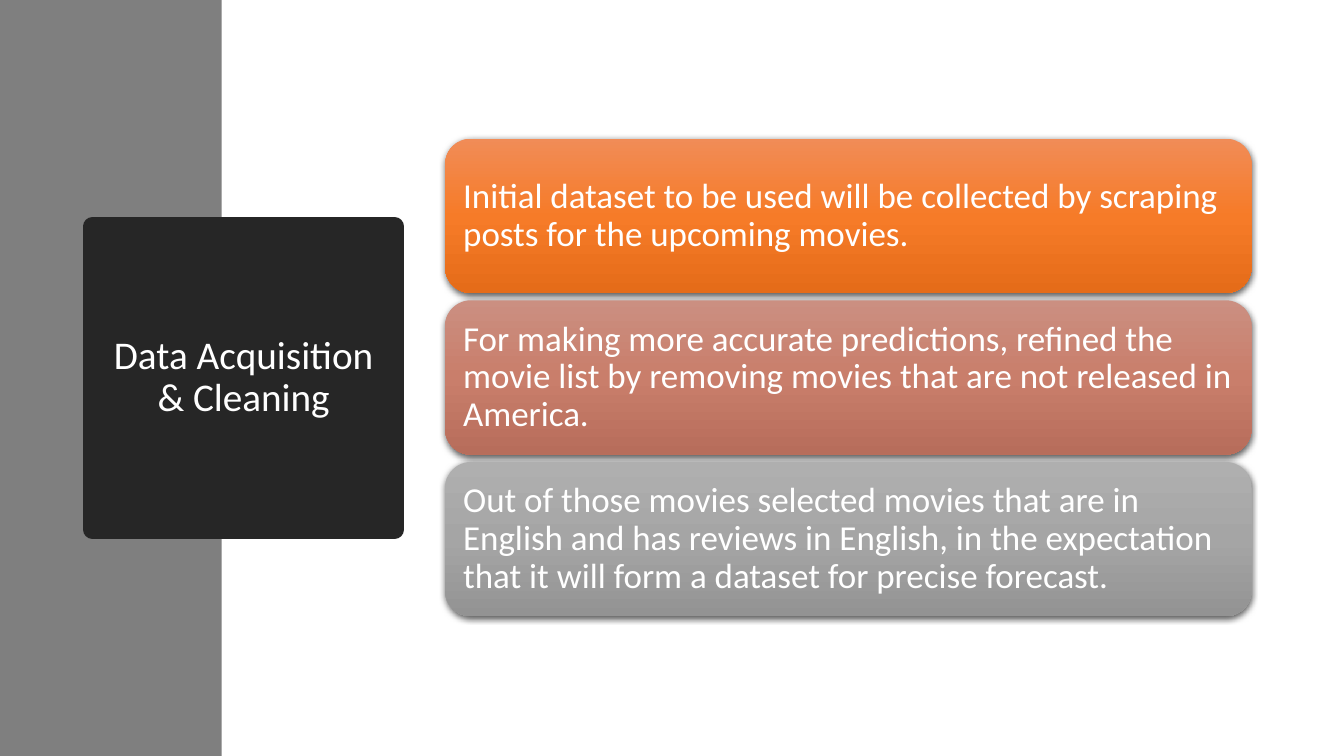
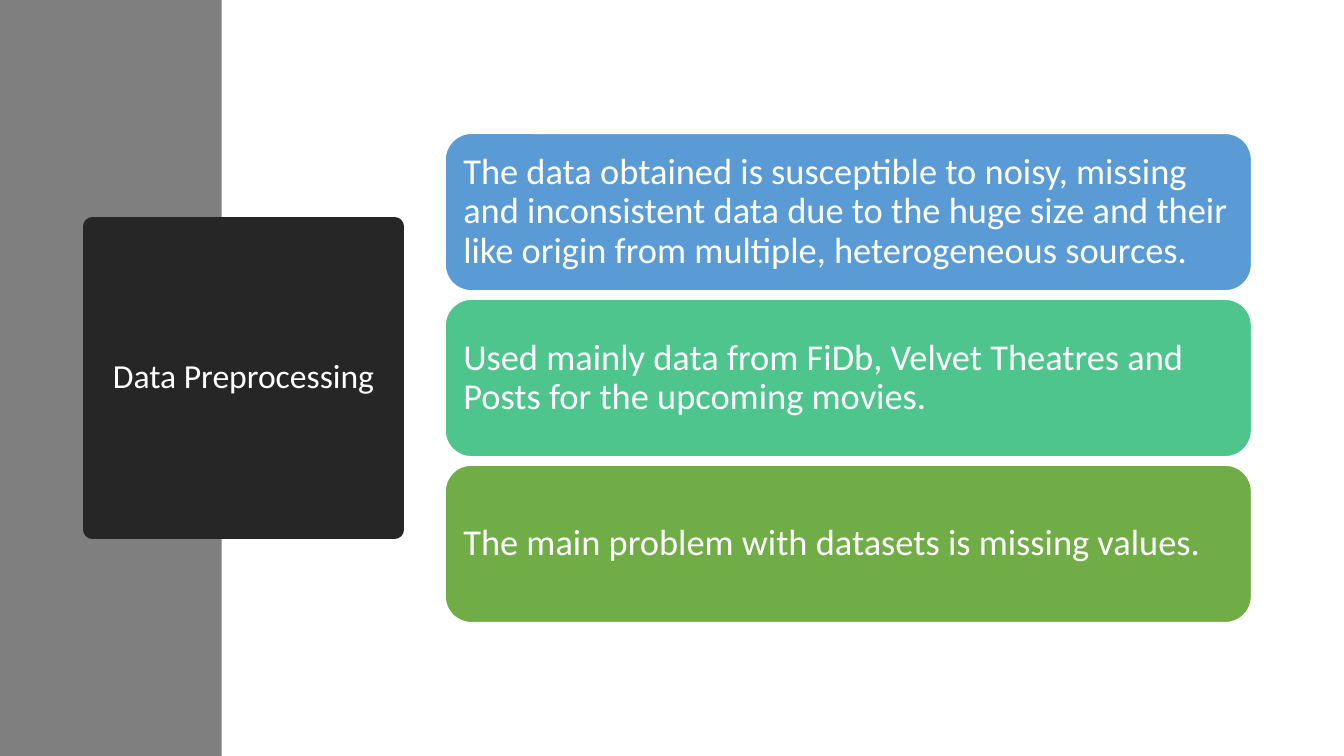
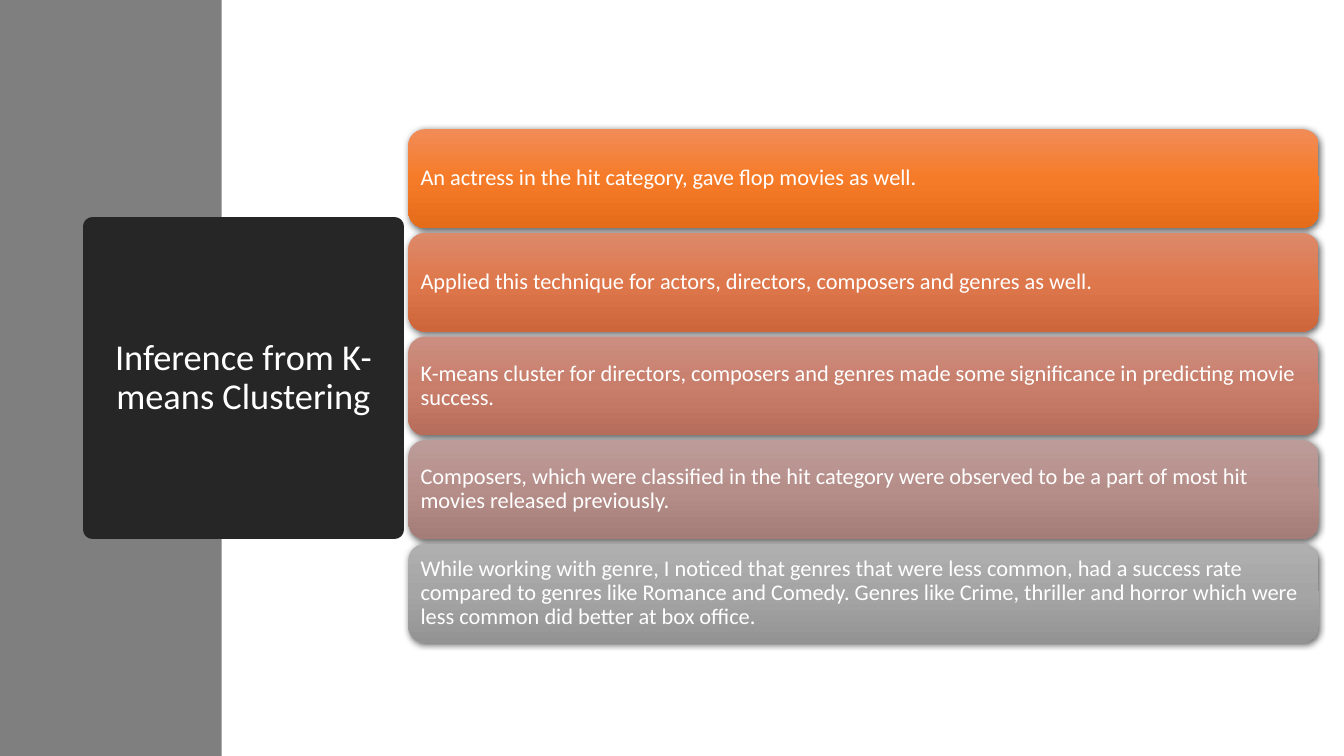
from lxml import etree
from pptx import Presentation
from pptx.dml.color import RGBColor
from pptx.enum.shapes import MSO_SHAPE
from pptx.enum.text import MSO_ANCHOR, MSO_AUTO_SIZE, PP_ALIGN
from pptx.oxml.ns import qn
from pptx.util import Emu, Pt

RECTANGLE = MSO_SHAPE.RECTANGLE
ROUNDED = MSO_SHAPE.ROUNDED_RECTANGLE
MIDDLE = MSO_ANCHOR.MIDDLE
NO_FIT = MSO_AUTO_SIZE.NONE
LEFT = PP_ALIGN.LEFT
CENTER = PP_ALIGN.CENTER

EMU_PER_PX = 9525
FONT = "Calibri"
TITLE_ONLY = 5
SLIDE_SIZE = (1280, 720)
BAND_BOX = (0, 0, 211, 720)
TITLE_BOX = (88, 216, 288, 288)

COLORS = {
    "white": "FFFFFF",
    "band": "7F7F7F",
    "title": "262626",
    "shadow": "000000",
    "blue": "5B9BD5",
    "mint": "4DC58D",
    "green": "70AD47",
}
GRADIENTS = {
    "orange": ("F18C57", "F67B28", "E56C19"),
    "copper": ("DD8A6A", "DE774B", "CD673B"),
    "clay": ("CB8F81", "C97E6B", "B76D5B"),
    "mauve": ("BC9C99", "B68E89", "A47C78"),
    "gray": ("AFAFAF", "A5A5A5", "939393"),
}

SLIDES = [
    {
        "title": "Data Acquisition & Cleaning",
        "title_size": 28,
        "box": (424, 132, 768, 455),
        "card_height": 147,
        "inset": 10,
        "size": 25,
        "cards": [
            ("orange", "Initial dataset to be used will be collected by scraping "
                       "posts for the upcoming movies."),
            ("clay", "For making more accurate predictions, refined the movie list "
                     "by removing movies that are not released in America."),
            ("gray", "Out of those movies selected movies that are in English and "
                     "has reviews in English, in the expectation that it will form "
                     "a dataset for precise forecast."),
        ],
    },
    {
        "title": "Data Preprocessing",
        "title_size": 24,
        "box": (424, 127, 768, 466),
        "card_height": 150,
        "inset": 10,
        "size": 26,
        "cards": [
            ("blue", "The data obtained is susceptible to noisy, missing and "
                     "inconsistent data due to the huge size and their like origin "
                     "from multiple, heterogeneous sources."),
            ("mint", "Used mainly data from FiDb, Velvet Theatres and Posts for "
                     "the upcoming movies."),
            ("green", "The main problem with datasets is missing values."),
        ],
    },
    {
        "title": "Inference from K-means Clustering",
        "title_size": 26,
        "box": (389, 123, 867, 489),
        "card_height": 94,
        "inset": 7,
        "size": 16,
        "cards": [
            ("orange", "An actress in the hit category, gave flop movies as well."),
            ("copper", "Applied this technique for actors, directors, composers "
                       "and genres as well."),
            ("clay", "K-means cluster for directors, composers and genres made "
                     "some significance in predicting movie success."),
            ("mauve", "Composers, which were classified in the hit category were "
                      "observed to be a part of most hit movies released previously."),
            ("gray", "While working with genre, I noticed that genres that were "
                     "less common, had a success rate compared to genres like "
                     "Romance and Comedy. Genres like Crime, thriller and horror "
                     "which were less common did better at box office."),
        ],
    },
]


def px(length):
    return Emu(round(length * EMU_PER_PX))


def color(name):
    return RGBColor.from_string(COLORS[name])


def fill_solid(shape, name):
    shape.fill.solid()
    shape.fill.fore_color.rgb = color(name)


def add_color(parent, value):
    return etree.SubElement(parent, qn("a:srgbClr"), val=value)


def fill_gradient(shape, values):
    shape.fill.gradient()
    shape.fill.gradient_angle = 270
    stops = shape.element.spPr.find(".//" + qn("a:gsLst"))
    for stop in list(stops):
        stops.remove(stop)
    for index, value in enumerate(values):
        stop = etree.SubElement(stops, qn("a:gs"), pos=str(index * 50000))
        add_color(stop, value)


def add_shadow(shape):
    effects = shape.element.spPr.find(qn("a:effectLst"))
    shadow = etree.SubElement(
        effects, qn("a:outerShdw"), blurRad=str(Pt(4.5)), dist=str(Pt(1.5)),
        dir="5400000", algn="ctr", rotWithShape="0")
    etree.SubElement(add_color(shadow, COLORS["shadow"]), qn("a:alpha"), val="63000")


def write_text(shape, text, size, align):
    frame = shape.text_frame
    frame.word_wrap = True
    frame.auto_size = NO_FIT
    frame.vertical_anchor = MIDDLE
    para = frame.paragraphs[0]
    para.alignment = align
    para.line_spacing = 0.9
    span = para.add_run()
    span.text = text
    span.font.name = FONT
    span.font.size = Pt(size)
    span.font.color.rgb = color("white")


def add_box(page, kind, box):
    shape = page.shapes.add_shape(kind, *map(px, box))
    shape.shadow.inherit = False
    return shape


def place_title(page, box, text, size):
    title = page.shapes.title
    title.left, title.top, title.width, title.height = map(px, box)
    fill_solid(title, "title")
    title.line.color.rgb = color("title")
    title.line.width = Pt(13.75)
    write_text(title, text, size, CENTER)


def place_band(page, box):
    band = add_box(page, RECTANGLE, box)
    fill_solid(band, "band")
    band.line.fill.background()
    page.shapes.title.element.addprevious(band.element)


def add_card(page, box, fill, text, size, inset):
    card = add_box(page, ROUNDED, box)
    if fill in GRADIENTS:
        fill_gradient(card, GRADIENTS[fill])
        card.line.fill.background()
        add_shadow(card)
    else:
        fill_solid(card, fill)
        card.line.color.rgb = color("white")
        card.line.width = Pt(1)
    frame = card.text_frame
    frame.margin_left = frame.margin_right = px(inset)
    frame.margin_top = frame.margin_bottom = px(inset)
    write_text(card, text, size, LEFT)


def add_card_stack(page, box, cards, card_height, size, inset):
    left, top, width, height = box
    step = (height - card_height) / (len(cards) - 1)
    for index, (fill, text) in enumerate(cards):
        card_box = (left, top + index * step, width, card_height)
        add_card(page, card_box, fill, text, size, inset)


def build_slide(deck, content):
    page = deck.slides.add_slide(deck.slide_layouts[TITLE_ONLY])
    place_band(page, BAND_BOX)
    place_title(page, TITLE_BOX, content["title"], content["title_size"])
    add_card_stack(page, content["box"], content["cards"], content["card_height"],
                   content["size"], content["inset"])


def main():
    deck = Presentation()
    deck.slide_width, deck.slide_height = map(px, SLIDE_SIZE)
    for content in SLIDES:
        build_slide(deck, content)
    deck.save("out.pptx")


if __name__ == "__main__":
    main()
